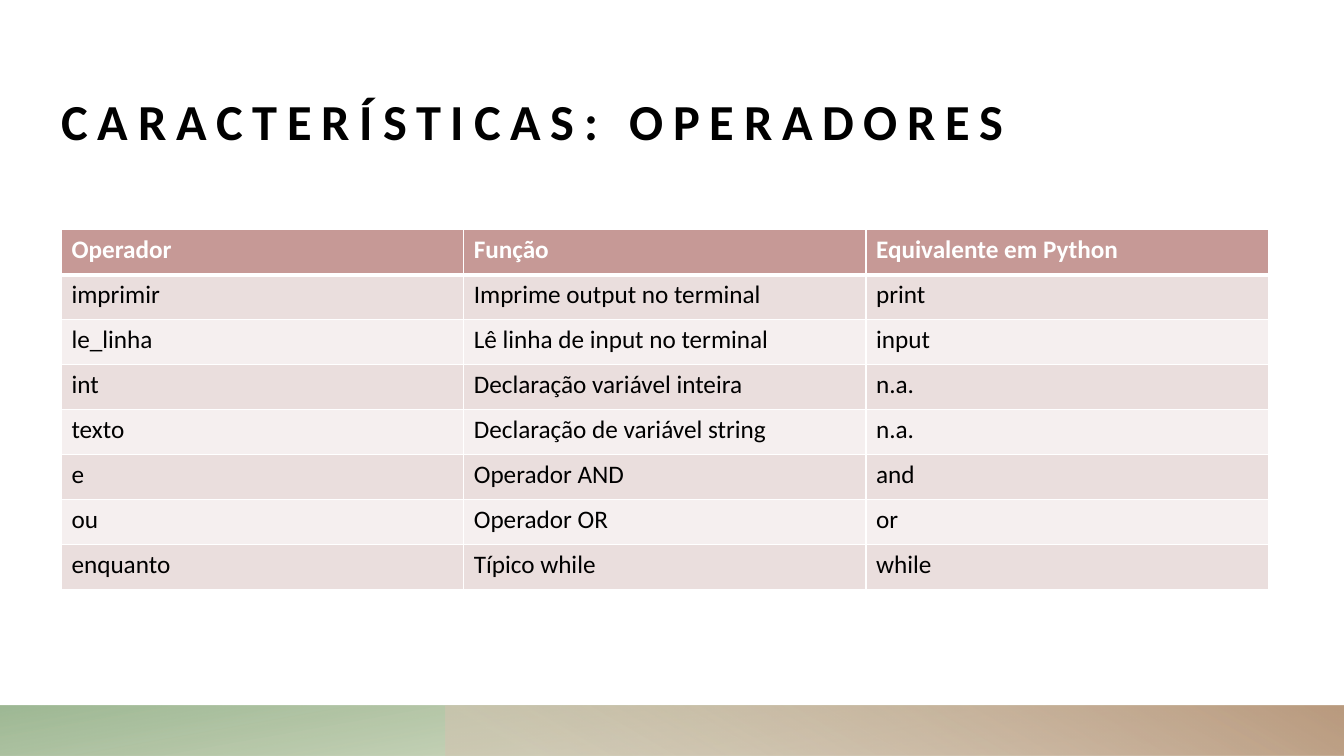
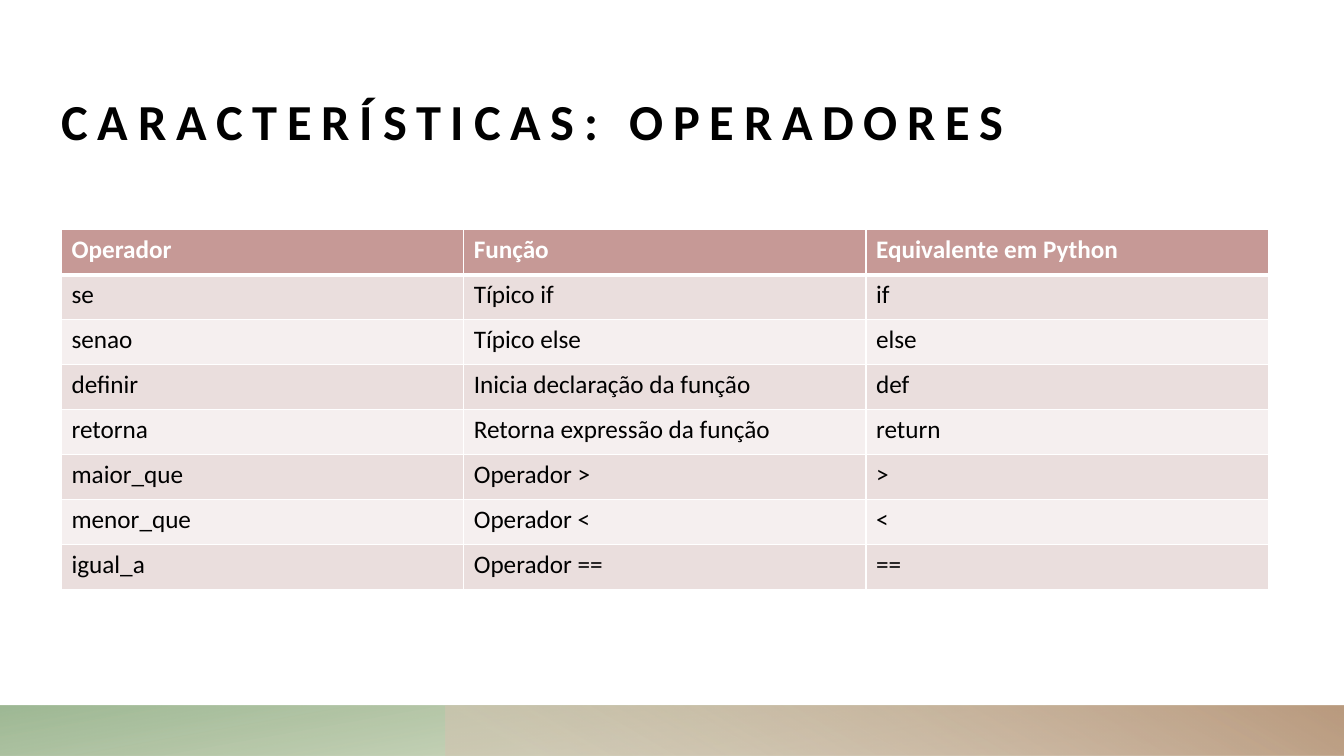
import pptx
import pptx.util
import pptx.dml.color
import pptx.enum.shapes
import pptx.enum.text
import pptx.oxml.ns
import lxml.etree

Inches = pptx.util.Inches
Pt = pptx.util.Pt


def color(value):
    return pptx.dml.color.RGBColor.from_string(value)


def add_element(parent, tag, **attributes):
    return lxml.etree.SubElement(parent, pptx.oxml.ns.qn(tag), attributes)


class Builder:
    font = "Calibri"
    black, white = "000000", "FFFFFF"
    header_fill = "C69996"
    row_fills = ("EADEDD", "F5EFEF")
    left = 0.61

    def __init__(self, deck):
        self.deck = deck
        self.page = None

    def new_page(self, title):
        self.page = self.deck.slides.add_slide(self.deck.slide_layouts[6])
        self.band(0, 13.33, 260, [(0.14, "99AA74", 28), (1, "8DAC82", 85)], 180)
        self.band(4.42, 8.92, 120, [(0.09, "D6C3B2", 55), (0.99, "BA9B7F", 100)])
        self.title(title)

    def band(self, left, width, angle, stops, rotation=0):
        shape = self.page.shapes.add_shape(
            pptx.enum.shapes.MSO_SHAPE.RECTANGLE,
            Inches(left), Inches(7), Inches(width), Inches(0.5))
        shape.shadow.inherit = False
        shape.line.fill.background()
        shape.rotation = rotation
        shape._element.spPr.xfrm.set("flipH", "1")
        shape.fill.gradient()
        shape.fill.gradient_angle = angle
        for stop, (position, value, opacity) in zip(shape.fill.gradient_stops, stops):
            stop.position = position
            stop.color.rgb = color(value)
            tint = stop._gs.find(pptx.oxml.ns.qn("a:srgbClr"))
            add_element(tint, "a:alpha", val=str(opacity * 1000))

    def add_text(self, frame, text, size, value, bold):
        span = frame.paragraphs[0].add_run()
        span.text = text
        formats = {"name": self.font, "size": Pt(size), "bold": bold}
        for name, setting in formats.items():
            setattr(span.font, name, setting)
        span.font.color.rgb = color(value)
        return span

    def title(self, text):
        box = self.page.shapes.add_textbox(
            Inches(self.left), Inches(0.14), Inches(12.39), Inches(1.35))
        formats = {
            "word_wrap": True,
            "vertical_anchor": pptx.enum.text.MSO_ANCHOR.BOTTOM,
            "margin_left": 0, "margin_top": 0,
            "margin_right": 0, "margin_bottom": 0,
        }
        for name, setting in formats.items():
            setattr(box.text_frame, name, setting)
        span = self.add_text(box.text_frame, text, 36, self.black, True)
        span.font._element.set("spc", "700")

    def borders(self, cell, top, bottom):
        properties = cell._tc.get_or_add_tcPr()
        widths = {"a:lnL": 1, "a:lnR": 1, "a:lnT": top, "a:lnB": bottom}
        for tag, width in widths.items():
            line = add_element(properties, tag, w=str(Pt(width)))
            add_element(add_element(line, "a:solidFill"), "a:srgbClr", val=self.white)

    def table(self, rows):
        table = self.page.shapes.add_table(
            len(rows), len(rows[0]), Inches(self.left), Inches(2.28),
            Inches(11.97), Inches(3.57)).table
        for row_index, row in enumerate(rows):
            header = row_index == 0
            fill = self.header_fill if header else self.row_fills[(row_index - 1) % 2]
            for column_index, text in enumerate(row):
                cell = table.cell(row_index, column_index)
                self.borders(cell, 3 if row_index == 1 else 1, 3 if header else 1)
                cell.fill.solid()
                cell.fill.fore_color.rgb = color(fill)
                self.add_text(cell.text_frame, text, 18,
                              self.white if header else self.black, header)


HEADINGS = ("Operador", "Função", "Equivalente em Python")
OPERATOR_PAGES = [
    [
        ("imprimir", "Imprime output no terminal", "print"),
        ("le_linha", "Lê linha de input no terminal", "input"),
        ("int", "Declaração variável inteira", "n.a."),
        ("texto", "Declaração de variável string", "n.a."),
        ("e", "Operador AND", "and"),
        ("ou", "Operador OR", "or"),
        ("enquanto", "Típico while", "while"),
    ],
    [
        ("se", "Típico if", "if"),
        ("senao", "Típico else", "else"),
        ("definir", "Inicia declaração da função", "def"),
        ("retorna", "Retorna expressão da função", "return"),
        ("maior_que", "Operador >", ">"),
        ("menor_que", "Operador <", "<"),
        ("igual_a", "Operador ==", "=="),
    ],
]

deck = pptx.Presentation()
deck.slide_width = Inches(13.33)
deck.slide_height = Inches(7.5)
builder = Builder(deck)
for operators in OPERATOR_PAGES:
    builder.new_page("CARACTERÍSTICAS: OPERADORES")
    builder.table([HEADINGS] + operators)
deck.save("out.pptx")
